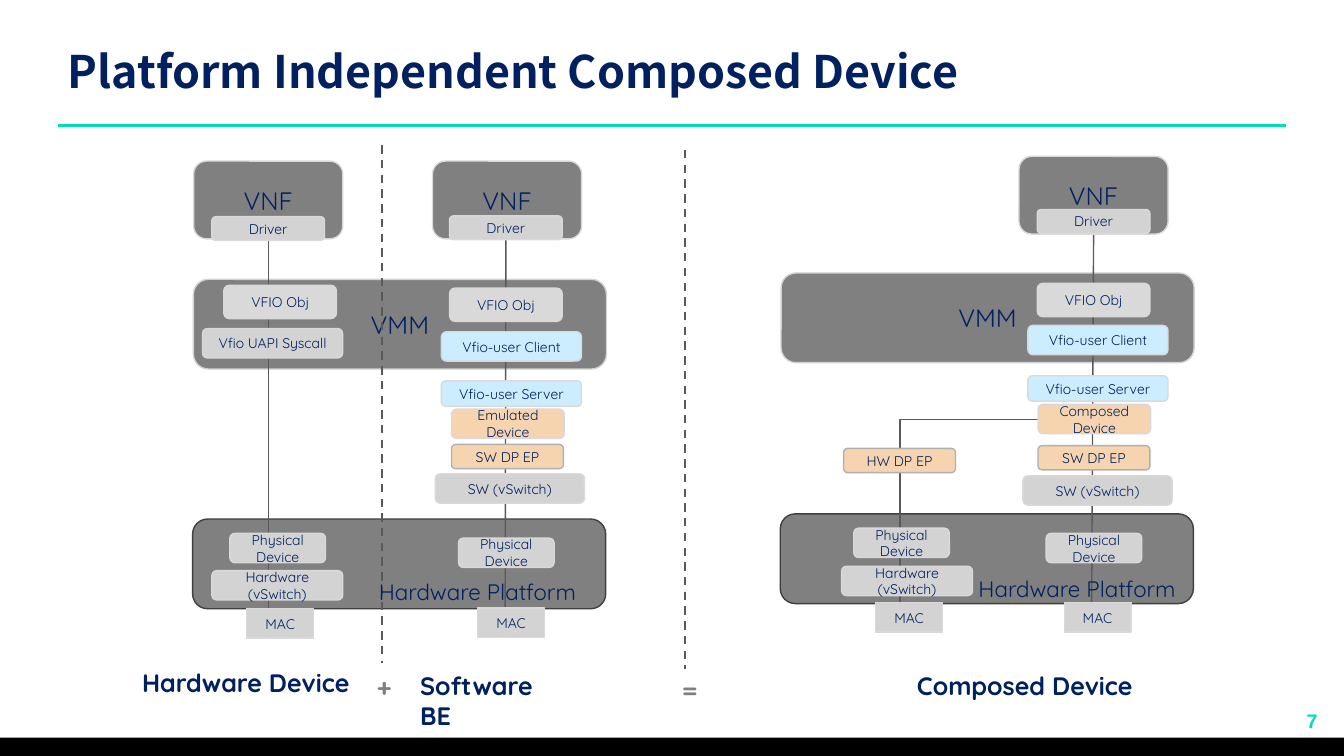
from lxml.etree import SubElement
from pptx import Presentation
from pptx.dml.color import RGBColor
from pptx.enum.dml import MSO_LINE
from pptx.enum.shapes import MSO_CONNECTOR, MSO_SHAPE
from pptx.enum.text import MSO_ANCHOR, PP_ALIGN
from pptx.oxml.ns import qn
from pptx.util import Cm, Pt

# Content: lengths in centimetres
TITLE = "Platform Independent Composed Device"
PAGE_NUMBER = "7"
NAVY, TEAL, GRAY, LINE_GRAY = "002060", "00DBC0", "808080", "595959"
SILVER, PALE, BLUE, ORANGE = "D3D3D3", "D9D9D9", "CCECFF", "F6D4B0"

# Kind of box: width, height, fill, outline, text size
KINDS = {
    "platform": (10.41, 2.26, GRAY, "404040", 18),
    "vmm": (10.41, 2.26, GRAY, SILVER, 18),
    "vnf": (3.76, 1.96, GRAY, PALE, 18),
    "driver": (2.84, 0.6, SILVER, PALE, 10),
    "object": (2.84, 0.84, PALE, PALE, 10),
    "syscall": (3.53, 0.74, SILVER, PALE, 10),
    "client": (3.53, 0.74, BLUE, PALE, 10),
    "server": (3.53, 0.64, BLUE, PALE, 10),
    "device": (2.84, 0.74, ORANGE, PALE, 10),
    "endpoint": (2.82, 0.61, ORANGE, "B0B0B0", 10),
    "switch": (3.76, 0.74, SILVER, PALE, 10),
    "physical": (2.41, 0.74, SILVER, PALE, 10),
    "hw switch": (3.3, 0.74, SILVER, PALE, 10),
    "mac": (1.68, 0.74, SILVER, PALE, 10),
}

# Boxes: kind, label, centre, top
LAYERS = [
    ("platform", "", 10.06, 13.08),
    ("vmm", "VMM", 10.08, 7.04),
    ("platform", "", 24.87, 12.95),
    ("vmm", "VMM", 24.89, 6.88),
]
HARDWARE_STACK = [
    ("vnf", "VNF", 6.76, 4.06),
    ("driver", "Driver", 6.76, 5.46),
    ("object", "VFIO Obj", 7.06, 7.19),
    ("syscall", "Vfio UAPI Syscall", 6.87, 8.28),
    ("physical", "Physical Device", 7, 13.44),
    ("hw switch", "Hardware (vSwitch)", 6.99, 14.38),
    ("mac", "MAC", 7.06, 15.34),
]
SOFTWARE_STACK = [
    ("vnf", "VNF", 12.78, 4.06),
    ("driver", "Driver", 12.75, 5.44),
    ("object", "VFIO Obj", 12.75, 7.26),
    ("client", "Vfio-user Client", 12.89, 8.36),
    ("server", "Vfio-user Server", 12.89, 9.6),
    ("device", "Emulated Device", 12.8, 10.31),
    ("endpoint", "SW DP EP", 12.79, 11.2),
    ("switch", "SW (vSwitch)", 12.85, 11.94),
    ("physical", "Physical Device", 12.76, 13.56),
    ("mac", "MAC", 12.88, 15.32),
]
COMPOSED_STACK = [
    ("vnf", "VNF", 27.56, 3.94),
    ("driver", "Driver", 27.56, 5.28),
    ("object", "VFIO Obj", 27.56, 7.14),
    ("client", "Vfio-user Client", 27.67, 8.2),
    ("server", "Vfio-user Server", 27.67, 9.47),
    ("device", "Composed Device", 27.58, 10.19),
    ("endpoint", "SW DP EP", 27.57, 11.23),
    ("switch", "SW (vSwitch)", 27.66, 11.99),
    ("physical", "Physical Device", 27.57, 13.44),
    ("mac", "MAC", 27.66, 15.19),
    ("endpoint", "HW DP EP", 22.67, 11.3),
    ("physical", "Physical Device", 22.72, 13.31),
    ("hw switch", "Hardware (vSwitch)", 22.86, 14.27),
    ("mac", "MAC", 22.91, 15.19),
]

# Lines: x1, y1, x2, y2
DATA_PATHS = [
    (6.76, 6.05, 6.76, 15.54),
    (12.75, 6.05, 12.73, 15.32),
    (27.56, 5.92, 27.51, 15.19),
    (22.68, 11.91, 22.68, 15.24),
]
COMPOSED_BRANCH = (26.16, 10.57, 22.68, 11.3)
DIVIDERS = [(9.63, 3.66, 9.63, 16.71), (17.27, 3.78, 17.27, 16.87)]

# Captions: text, left, top, width, size, colour, bold
CAPTIONS = [
    ("Hardware Platform", 9.3, 14.45, 5.72, 16, NAVY, False),
    ("Hardware Platform", 24.41, 14.38, 5.72, 16, NAVY, False),
    ("Hardware Device", 3.33, 16.69, 5.92, 18, NAVY, True),
    ("Software BE", 10.34, 16.76, 4.14, 18, NAVY, True),
    ("Composed Device", 22.86, 16.76, 6.4, 18, NAVY, True),
    ("+", 9.25, 16.79, 0.89, 18, GRAY, True),
    ("=", 16.94, 16.87, 0.89, 18, GRAY, True),
]

prs = Presentation()
prs.slide_width, prs.slide_height = Cm(33.87), Cm(19.05)
slide = prs.slides.add_slide(prs.slide_layouts[5])
shapes = slide.shapes


def rgb(value):
    return RGBColor.from_string(value)


def write(frame, text, size, color, bold=False, font="Quicksand", align=PP_ALIGN.LEFT):
    frame.text = text
    frame.word_wrap = True
    paragraph = frame.paragraphs[0]
    paragraph.alignment = align
    for run in paragraph.runs:
        run.font.size, run.font.bold, run.font.name = Pt(size), bold, font
        run.font.color.rgb = rgb(color)
        for script in ("a:ea", "a:cs"):
            SubElement(run.font._element, qn(script)).set("typeface", font)


def add_caption(text, left, top, width, size, color, bold, **style):
    caption = shapes.add_textbox(Cm(left), Cm(top), Cm(width), Cm(1))
    write(caption.text_frame, text, size, color, bold, **style)


def add_box(kind, label, centre, top):
    width, height, fill, outline, size = KINDS[kind]
    preset = MSO_SHAPE.RECTANGLE if kind == "mac" else MSO_SHAPE.ROUNDED_RECTANGLE
    box = shapes.add_shape(preset, Cm(centre - width / 2), Cm(top), Cm(width), Cm(height))
    box.shadow.inherit = False
    box.fill.solid()
    box.fill.fore_color.rgb = rgb(fill)
    box.line.color.rgb = rgb(outline)
    box.line.width = Pt(1)
    if label:
        box.text_frame.vertical_anchor = MSO_ANCHOR.MIDDLE
        write(box.text_frame, label, size, NAVY, align=PP_ALIGN.CENTER)


def add_line(ends, color=LINE_GRAY, width=1, kind=MSO_CONNECTOR.STRAIGHT):
    line = shapes.add_connector(kind, *map(Cm, ends))
    line.line.color.rgb = rgb(color)
    line.line.width = Pt(width)
    SubElement(line._element.spPr, qn("a:effectLst"))
    return line


# Title and page frame
title = shapes.title
title.left, title.top, title.width, title.height = Cm(1.45), Cm(0.81), Cm(27.94), Cm(1.96)
title.text_frame.vertical_anchor = MSO_ANCHOR.MIDDLE
write(title.text_frame, TITLE, 32, NAVY, True, font="Noto Sans CJK SC")
add_line((1.45, 3.17, 32.41, 3.17), TEAL, 2.25)
footer = shapes.add_shape(MSO_SHAPE.RECTANGLE, 0, Cm(18.59), prs.slide_width, Cm(0.46))
footer.shadow.inherit = False
footer.fill.solid()
footer.fill.fore_color.rgb = rgb("000000")
footer.line.fill.background()
add_caption(PAGE_NUMBER, 32.28, 17.75, 1.57, 14, TEAL, True, font="Arial", align=PP_ALIGN.CENTER)

# Layers, then the paths across them, then the stacks
for layer in LAYERS:
    add_box(*layer)
for data_path in DATA_PATHS:
    add_line(data_path)
branch = add_line(COMPOSED_BRANCH, kind=MSO_CONNECTOR.ELBOW)
branch._element.spPr.find(qn("a:prstGeom")).set("prst", "bentConnector2")
for box in HARDWARE_STACK + SOFTWARE_STACK + COMPOSED_STACK:
    add_box(*box)

# Dividers and captions
for divider in DIVIDERS:
    add_line(divider, width=1.5).line.dash_style = MSO_LINE.DASH
for caption in CAPTIONS:
    add_caption(*caption)

prs.save("out.pptx")
